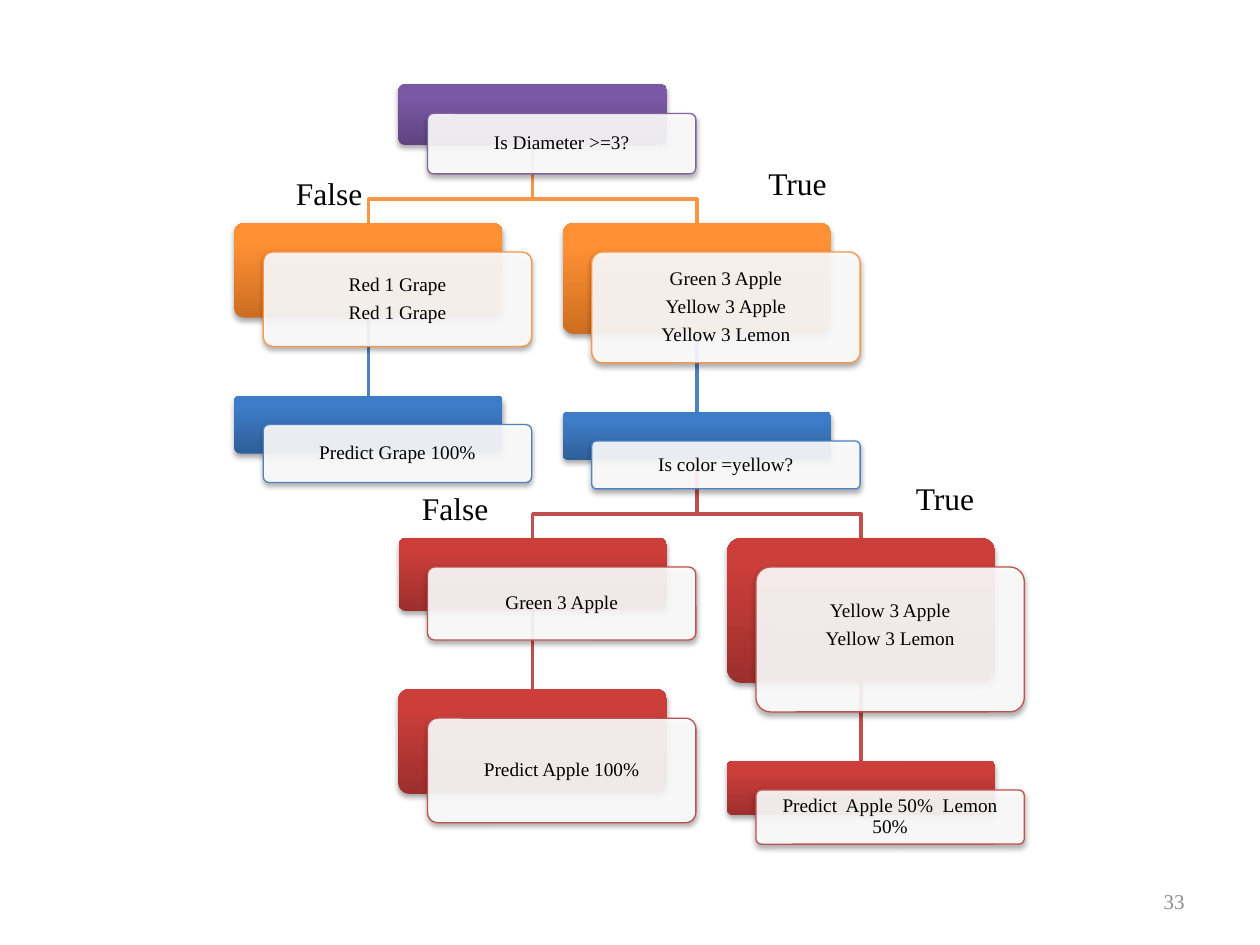
from dataclasses import dataclass
from typing import Optional

from lxml import etree
from pptx import Presentation
from pptx import util as u
from pptx.dml.color import RGBColor
from pptx.enum import shapes as sh, text as tx
from pptx.oxml.ns import qn


@dataclass(frozen=True)
class Hue:
    line: str
    dark: str
    light: str


@dataclass(frozen=True)
class Theme:
    font: str = "Times New Roman"
    ink: str = "000000"
    gray: str = "8C8C8C"
    card: str = "FFFFFF"
    body: int = 11
    foot: int = 12
    label: int = 18
    purple: Hue = Hue("8064A2", "5F4480", "7B58A6")
    orange: Hue = Hue("F79646", "CC6E20", "FF9034")
    blue: Hue = Hue("4F81BD", "2F5F99", "3D7CC7")
    red: Hue = Hue("C0504D", "9C2F2D", "CB3E3A")


T = Theme()

# Tree grid, in inches
LEFT, STEP, TOP = 1.86, (5.77 - 1.86) / 3, 0.67
WIDE, GAP, BEND = 2.13, 0.62, 0.19
SHIFT = 0.23  # offset of the white card from its backing


@dataclass(frozen=True)
class Node:
    col: float
    high: float
    hue: Hue
    lines: tuple[str, ...]
    up: Optional["Node"] = None
    pad: float = 0.05  # bottom margin of the card

    @property
    def left(self) -> float:
        return LEFT + self.col * STEP

    @property
    def mid(self) -> float:
        return self.left + WIDE / 2

    @property
    def top(self) -> float:
        return self.up.base + GAP if self.up else TOP

    @property
    def base(self) -> float:
        return self.top + self.high


@dataclass(frozen=True)
class Label:
    words: str
    left: float
    top: float
    wide: float
    size: int = T.label
    ink: str = T.ink
    align: tx.PP_ALIGN = tx.PP_ALIGN.LEFT
    anchor: tx.MSO_ANCHOR = tx.MSO_ANCHOR.TOP


def rgb(code: str) -> RGBColor:
    return RGBColor.from_string(code)


def style(par, size: int, ink: str, align) -> None:
    par.alignment = align
    par.font.name, par.font.size = T.font, u.Pt(size)
    par.font.color.rgb = rgb(ink)


def add_shadow(shape) -> None:
    shape.shadow.inherit = False
    box = shape._element.spPr.find(qn("a:effectLst"))
    glow = etree.SubElement(box, qn("a:outerShdw"), blurRad="40000",
                            dist="23000", dir="5400000", rotWithShape="0")
    tone = etree.SubElement(glow, qn("a:srgbClr"), val="000000")
    etree.SubElement(tone, qn("a:alpha"), val="35000")


def add_link(slide, node: Node) -> None:
    """Join a node to its parent: straight below it, or with a bend."""
    up = node.up
    if up.col == node.col:
        link = slide.shapes.add_connector(
            sh.MSO_CONNECTOR.STRAIGHT, u.Inches(up.mid), u.Inches(up.base),
            u.Inches(node.mid), u.Inches(node.top))
        etree.SubElement(link._element.spPr, qn("a:effectLst"))
    else:
        turn = node.top - BEND
        pen = slide.shapes.build_freeform(
            u.Inches(up.mid), u.Inches(up.base), scale=1.0)
        spots = [(up.mid, turn), (node.mid, turn), (node.mid, node.top)]
        pen.add_line_segments(
            [(u.Inches(x), u.Inches(y)) for x, y in spots], close=False)
        link = pen.convert_to_shape()
        link.fill.background()
        link.shadow.inherit = False
    link.line.color.rgb = rgb(node.hue.line)
    link.line.width = u.Pt(2)


def add_panel(slide, node: Node, shift: float = 0):
    panel = slide.shapes.add_shape(
        sh.MSO_SHAPE.ROUNDED_RECTANGLE, u.Inches(node.left + shift),
        u.Inches(node.top + shift), u.Inches(WIDE), u.Inches(node.high))
    panel.adjustments[0] = 0.1
    add_shadow(panel)
    return panel


def add_node(slide, node: Node) -> None:
    # Coloured backing
    back = add_panel(slide, node)
    back.line.fill.background()
    back.fill.gradient()
    back.fill.gradient_angle = 90
    tones = ((0, node.hue.dark), (0.8, node.hue.light))
    for stop, (place, tone) in zip(back.fill.gradient_stops, tones):
        stop.position, stop.color.rgb = place, rgb(tone)

    # Translucent card with the text
    card = add_panel(slide, node, SHIFT)
    card.fill.solid()
    card.fill.fore_color.rgb = rgb(T.card)
    tone = card._element.spPr.find(qn("a:solidFill")).find(qn("a:srgbClr"))
    etree.SubElement(tone, qn("a:alpha"), val="90000")
    card.line.color.rgb = rgb(node.hue.line)
    card.line.width = u.Pt(0.75)
    frame = card.text_frame
    frame.word_wrap = True
    frame.vertical_anchor = tx.MSO_ANCHOR.MIDDLE
    frame.margin_left = frame.margin_right = frame.margin_top = u.Inches(0.05)
    frame.margin_bottom = u.Inches(node.pad)
    frame.text = "\n".join(node.lines)
    for par in frame.paragraphs:
        style(par, T.body, T.ink, tx.PP_ALIGN.CENTER)
        par.line_spacing, par.space_after = 0.9, u.Pt(4)


def add_label(slide, label: Label) -> None:
    box = slide.shapes.add_textbox(u.Inches(label.left), u.Inches(label.top),
                                   u.Inches(label.wide), u.Inches(0.4))
    frame = box.text_frame
    frame.word_wrap = True
    frame.vertical_anchor = label.anchor
    frame.text = label.words
    style(frame.paragraphs[0], label.size, label.ink, label.align)


def main() -> None:
    deck = Presentation()
    deck.slide_width, deck.slide_height = u.Inches(10), u.Inches(7.5)
    slide = deck.slides.add_slide(deck.slide_layouts[6])

    # Decision tree
    root = Node(1, 0.48, T.purple, ("Is Diameter >=3?",))
    small = Node(0, 0.75, T.orange, ("Red 1 Grape", "Red 1 Grape"), root)
    grape = Node(0, 0.46, T.blue, ("Predict Grape 100%",), small)
    large = Node(2, 0.88, T.orange,
                 ("Green 3 Apple", "Yellow 3 Apple", "Yellow 3 Lemon"), root)
    color = Node(2, 0.38, T.blue, ("Is color =yellow?",), large)
    green = Node(1, 0.58, T.red, ("Green 3 Apple",), color)
    apple = Node(1, 0.83, T.red, ("Predict Apple 100%",), green)
    yellow = Node(3, 1.15, T.red, ("Yellow 3 Apple", "Yellow 3 Lemon"),
                  color, pad=0.27)
    mixed = Node(3, 0.43, T.red, ("Predict  Apple 50%  Lemon 50%",), yellow)
    tree = (root, small, grape, large, color, green, apple, yellow, mixed)
    for node in reversed(tree[1:]):
        add_link(slide, node)
    for node in tree:
        add_node(slide, node)

    # Page number and branch labels
    labels = (
        Label("33", 7.17, 6.95, 2.33, T.foot, T.gray,
              tx.PP_ALIGN.RIGHT, tx.MSO_ANCHOR.MIDDLE),
        Label("True", 6, 1.25, 1.5),
        Label("False", 2.25, 1.33, 1.25),
        Label("True", 7.17, 3.75, 1.08),
        Label("False", 3.25, 3.83, 1),
    )
    for label in labels:
        add_label(slide, label)

    deck.save("out.pptx")


if __name__ == "__main__":
    main()
